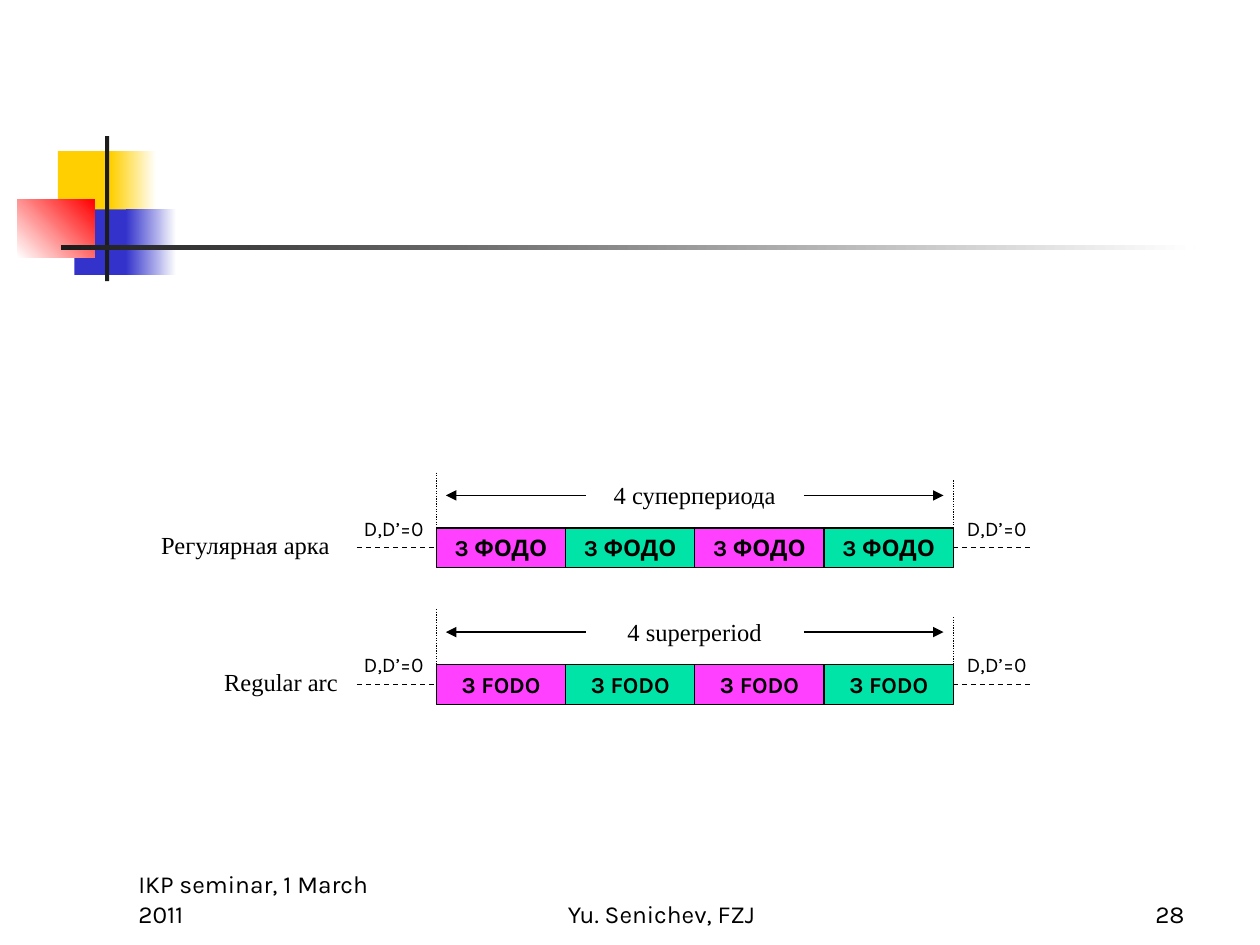
from dataclasses import dataclass

from lxml.etree import SubElement
from pptx import Presentation
from pptx.dml.color import RGBColor as RGB
from pptx.enum.dml import MSO_LINE as Dash
from pptx.enum.shapes import MSO_CONNECTOR as Connector, MSO_SHAPE as Preset
from pptx.enum.text import MSO_ANCHOR as Anchor, PP_ALIGN as Align
from pptx.oxml.ns import qn
from pptx.util import Pt


@dataclass(frozen=True)
class Theme:
    ink: str = "000000"
    paper: str = "FFFFFF"
    yellow: str = "FFCF01"
    blue: str = "3333CC"
    red: str = "FF0000"
    charcoal: str = "1C1C1C"
    magenta: str = "FF40FF"
    green: str = "00E4A8"
    sans: str = "Karla"
    serif: str = "Times New Roman"
    body_size: float = 14
    cell_size: float = 13
    dispersion_size: float = 12
    hairline: float = 0.75


theme = Theme()
deck = Presentation()
deck.slide_width, deck.slide_height = Pt(720), Pt(540)
slide = deck.slides.add_slide(deck.slide_layouts[6])
shapes = slide.shapes


def write(holder, words, size, face, align=Align.LEFT, anchor=Anchor.TOP, bold=False, wrap=True):
    frame = holder.text_frame
    frame.word_wrap = wrap
    frame.vertical_anchor = anchor
    paragraph = frame.paragraphs[0]
    paragraph.text = words
    paragraph.alignment = align
    paragraph.font.size = Pt(size)
    paragraph.font.name = face
    paragraph.font.bold = bold
    paragraph.font.color.rgb = RGB.from_string(theme.ink)


def rule(x1, y1, x2, y2, dash=None, arrow=False):
    stroke = shapes.add_connector(Connector.STRAIGHT, Pt(x1), Pt(y1), Pt(x2), Pt(y2))
    stroke.line.color.rgb = RGB.from_string(theme.ink)
    stroke.line.width = Pt(theme.hairline)
    if dash:
        stroke.line.dash_style = dash
    if arrow:
        SubElement(stroke.line._get_or_add_ln(), qn("a:tailEnd"), type="triangle")
    SubElement(stroke._element.spPr, qn("a:effectLst"))


ornaments = [
    (33.1, 86.4, 34.6, 37.4, theme.yellow, None, 0),
    (63.4, 86.4, 25.9, 37.4, theme.yellow, theme.paper, 0),
    (42.5, 119.7, 33.1, 37.4, theme.blue, None, 0),
    (72, 119.7, 28.8, 37.4, theme.blue, theme.paper, 0),
    (10, 113.8, 44, 33.4, theme.paper, theme.red, 45),
    (60, 77.8, 2.4, 82.8, theme.charcoal, None, 0),
    (34.7, 140.2, 648, 2.4, theme.charcoal, theme.paper, 0),
]
for left, top, width, height, start, end, angle in ornaments:
    ornament = shapes.add_shape(Preset.RECTANGLE, Pt(left), Pt(top), Pt(width), Pt(height))
    ornament.shadow.inherit = False
    ornament.line.fill.background()
    if end:
        ornament.fill.gradient()
        ornament.fill.gradient_angle = angle
        for stop, color in zip(ornament.fill.gradient_stops, (start, end)):
            stop.color.rgb = RGB.from_string(color)
    else:
        ornament.fill.solid()
        ornament.fill.fore_color.rgb = RGB.from_string(start)

footers = [
    (72, 150, "IKP seminar, 1 March 2011", Align.LEFT),
    (264, 228, "Yu. Senichev, FZJ", Align.CENTER),
    (534, 150, "28", Align.RIGHT),
]
for left, width, words, align in footers:
    footer = shapes.add_textbox(Pt(left), Pt(498), Pt(width), Pt(36))
    write(footer, words, theme.body_size, theme.sans, align, Anchor.BOTTOM)

arc_left, cell_width, cell_height, cell_count = 249.3, 73.85, 22.6, 4
arc_right = arc_left + cell_count * cell_width
arc_middle = (arc_left + arc_right) / 2
span_label_width = 124.6
arcs = [
    (313, "Регулярная арка", 85, 124.6, "3 ФОДО", "4 суперпериода"),
    (391.1, "Regular arc", 121, 88, "3 FODO", "4 superperiod"),
]
for axis, name, name_left, name_width, cell_words, span_words in arcs:
    rule(204, axis, 589.5, axis, Dash.DASH)
    for index in range(cell_count):
        cell = shapes.add_shape(
            Preset.RECTANGLE, Pt(arc_left + index * cell_width), Pt(axis - cell_height / 2),
            Pt(cell_width), Pt(cell_height))
        cell.shadow.inherit = False
        cell.fill.solid()
        cell.fill.fore_color.rgb = RGB.from_string((theme.magenta, theme.green)[index % 2])
        cell.line.color.rgb = RGB.from_string(theme.ink)
        cell.line.width = Pt(theme.hairline)
        write(cell, cell_words, theme.cell_size, theme.sans, Align.CENTER, Anchor.MIDDLE, True, False)

    for left in (195, 539.5):
        dispersion = shapes.add_textbox(Pt(left), Pt(axis - 22.2), Pt(60), Pt(21.6))
        write(dispersion, "D,D’=0", theme.dispersion_size, theme.sans, Align.CENTER, Anchor.MIDDLE)

    arc_name = shapes.add_textbox(Pt(name_left), Pt(axis - 13.6), Pt(name_width), Pt(24.5))
    write(arc_name, name, theme.body_size, theme.serif)

    rule(arc_left, axis - 43, arc_left, axis - 0.7, Dash.ROUND_DOT)
    rule(arc_right, axis - 38.5, arc_right, axis - 0.7, Dash.ROUND_DOT)
    for side in (1, -1):
        rule(arc_middle + side * span_label_width / 2, axis - 29.9,
             arc_middle + side * 142.2, axis - 29.9, arrow=True)
    span_label = shapes.add_textbox(
        Pt(arc_middle - span_label_width / 2), Pt(axis - 42), Pt(span_label_width), Pt(24.5))
    write(span_label, span_words, theme.body_size, theme.serif, Align.CENTER)

deck.save("out.pptx")
